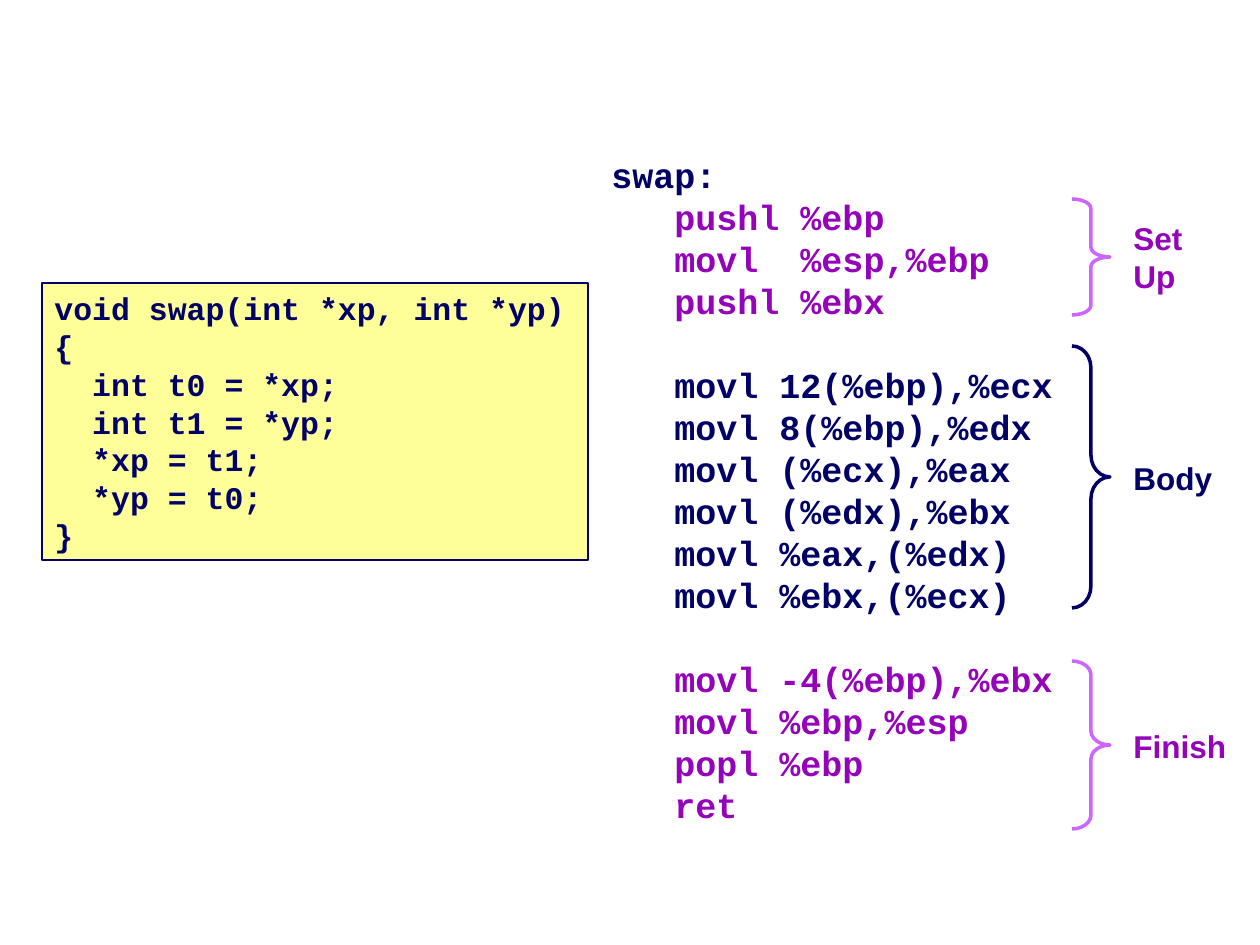
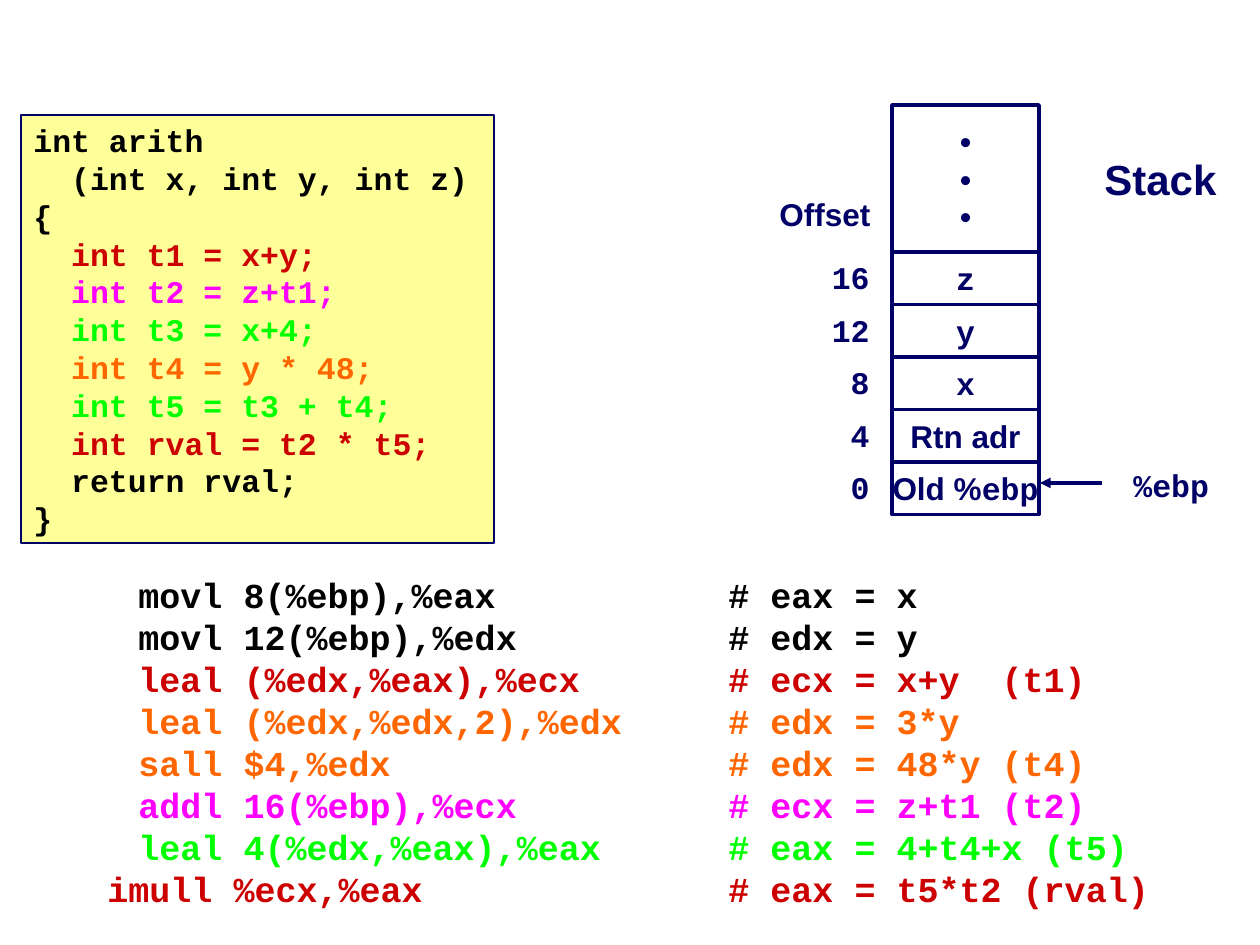
from lxml.etree import SubElement
from pptx import Presentation
from pptx.dml.color import RGBColor
from pptx.enum.shapes import MSO_CONNECTOR, MSO_SHAPE
from pptx.enum.text import MSO_ANCHOR, PP_ALIGN
from pptx.oxml.ns import qn
from pptx.util import Emu, Pt

PX_PER_INCH = 126
SANS, MONO = "Arial", "Courier New"
NAVY, BLACK, WHITE, YELLOW = "000066", "000000", "FFFFFF", "FFFF99"
PURPLE, LILAC = "9403B9", "CC66FF"
RED, MAGENTA, GREEN, ORANGE = "CC0000", "FF00FF", "00FF00", "FF6600"
LABEL_SIZE, ASSEMBLY_SIZE, HEADING_SIZE = 18, 20, 24
LINE_HEIGHT = 1.2


def px(length):
    return Emu(round(length * 914400 / PX_PER_INCH))


def color(value):
    return RGBColor.from_string(value)


def add_tab_stops(paragraph, stops):
    tab_list = SubElement(paragraph._p.get_or_add_pPr(), qn("a:tabLst"))
    for stop in stops:
        SubElement(tab_list, qn("a:tab"), pos=str(px(stop)), algn="l")


def write_line(paragraph, runs, size, align=PP_ALIGN.LEFT, gap=0):
    """Fill a paragraph with (text, color, font) runs."""
    paragraph.alignment = align
    paragraph.line_spacing = Pt(size * LINE_HEIGHT)
    if gap:
        paragraph.space_before = Pt(gap)
    for text, run_color, font_name in runs:
        run = paragraph.add_run()
        run.text = text
        run.font.name = font_name
        run.font.size = Pt(size)
        run.font.bold = True
        run.font.color.rgb = color(run_color)


def next_paragraph(frame, index):
    return frame.add_paragraph() if index else frame.paragraphs[0]


def add_text(slide, left, top, width, height, lines, text_color=NAVY,
             font_name=SANS, size=LABEL_SIZE, align=PP_ALIGN.LEFT):
    frame = slide.shapes.add_textbox(*map(px, (left, top, width, height))).text_frame
    frame.word_wrap = True
    for index, line in enumerate(lines):
        write_line(next_paragraph(frame, index), [(line, text_color, font_name)], size, align)


def add_rectangle(slide, left, top, width, height, fill, line_width):
    shape = slide.shapes.add_shape(MSO_SHAPE.RECTANGLE, *map(px, (left, top, width, height)))
    shape.shadow.inherit = False
    shape.fill.solid()
    shape.fill.fore_color.rgb = color(fill)
    shape.line.color.rgb = color(NAVY)
    shape.line.width = Pt(line_width)
    return shape


def add_source_code(slide, left, top, width, height, lines):
    """Yellow box of C code, one (text, color) pair a line."""
    frame = add_rectangle(slide, left, top, width, height, YELLOW, 1).text_frame
    frame.word_wrap = True
    frame.vertical_anchor = MSO_ANCHOR.TOP
    for index, (text, text_color) in enumerate(lines):
        write_line(next_paragraph(frame, index), [(text, text_color, MONO)], LABEL_SIZE)


def add_assembly(slide, left, top, width, height, lines, stops):
    """Assembly listing, one (text, color, gap before) triple a line."""
    frame = slide.shapes.add_textbox(*map(px, (left, top, width, height))).text_frame
    frame.word_wrap = True
    for index, (text, text_color, gap) in enumerate(lines):
        paragraph = next_paragraph(frame, index)
        add_tab_stops(paragraph, stops)
        write_line(paragraph, [(text, text_color, MONO)], ASSEMBLY_SIZE, gap=gap)


def add_brace(slide, left, top, width, height, line_color):
    brace = slide.shapes.add_shape(MSO_SHAPE.RIGHT_BRACE, *map(px, (left, top, width, height)))
    brace.shadow.inherit = False
    brace.adjustments[0] = height / 12 / width
    brace.fill.background()
    brace.line.color.rgb = color(line_color)
    brace.line.width = Pt(2)


def add_stack_cell(slide, top, height, lines):
    left, width = 892, 147
    frame = add_rectangle(slide, left, top, width, height, WHITE, 2).text_frame
    frame.word_wrap = False
    frame.vertical_anchor = MSO_ANCHOR.MIDDLE
    for index, runs in enumerate(lines):
        write_line(next_paragraph(frame, index), runs, LABEL_SIZE, PP_ALIGN.CENTER)


def add_arrow(slide, start_x, start_y, end_x, end_y):
    arrow = slide.shapes.add_connector(
        MSO_CONNECTOR.STRAIGHT, *map(px, (start_x, start_y, end_x, end_y)))
    arrow.line.color.rgb = color(NAVY)
    arrow.line.width = Pt(2)
    SubElement(arrow.line._get_or_add_ln(), qn("a:tailEnd"), type="triangle")
    SubElement(arrow._element.spPr, qn("a:effectLst"))


def build_swap_slide(slide):
    source = ["void swap(int *xp, int *yp)", "{", "  int t0 = *xp;",
              "  int t1 = *yp;", "  *xp = t1;", "  *yp = t0;", "}"]
    add_source_code(slide, 42, 283, 546, 277, [(line, NAVY) for line in source])

    # Assembly, in three sections with a line's gap between them
    sections = [
        (PURPLE, ["pushl %ebp", "movl  %esp,%ebp", "pushl %ebx"]),
        (NAVY, ["movl 12(%ebp),%ecx", "movl 8(%ebp),%edx", "movl (%ecx),%eax",
                "movl (%edx),%ebx", "movl %eax,(%edx)", "movl %ebx,(%ecx)"]),
        (PURPLE, ["movl -4(%ebp),%ebx", "movl %ebp,%esp", "popl %ebp", "ret"]),
    ]
    section_gap = ASSEMBLY_SIZE * LINE_HEIGHT
    lines = [("swap:", NAVY, 0)]
    for number, (section_color, instructions) in enumerate(sections):
        for index, instruction in enumerate(instructions):
            gap = section_gap if number and index == 0 else 0
            lines.append(("\t" + instruction, section_color, gap))
    add_assembly(slide, 599, 147, 504, 684, lines, [63])

    # Braces and section names
    braces = [
        (199, 116, LILAC, ["Set", "Up"], 213, PURPLE),
        (346, 262, NAVY, ["Body"], 453, NAVY),
        (661, 168, LILAC, ["Finish"], 721, PURPLE),
    ]
    for top, height, brace_color, name, name_top, name_color in braces:
        add_brace(slide, 1072, top, 38, height, brace_color)
        add_text(slide, 1121, name_top, 130, 13 + 38 * len(name), name, name_color)


def build_arith_slide(slide):
    add_source_code(slide, 21, 115, 473, 428, [
        ("int arith", BLACK),
        ("  (int x, int y, int z)", BLACK),
        ("{", BLACK),
        ("  int t1 = x+y;", RED),
        ("  int t2 = z+t1;", MAGENTA),
        ("  int t3 = x+4;", GREEN),
        ("  int t4 = y * 48;", ORANGE),
        ("  int t5 = t3 + t4;", GREEN),
        ("  int rval = t2 * t5;", RED),
        ("  return rval;", BLACK),
        ("}", BLACK),
    ])

    # Assembly with comments
    instructions = [
        ("\tmovl 8(%ebp),%eax", "# eax = x", BLACK),
        ("\tmovl 12(%ebp),%edx", "# edx = y", BLACK),
        ("\tleal (%edx,%eax),%ecx", "# ecx = x+y  (t1)", RED),
        ("\tleal (%edx,%edx,2),%edx", "# edx = 3*y", ORANGE),
        ("\tsall $4,%edx", "# edx = 48*y (t4)", ORANGE),
        ("\taddl 16(%ebp),%ecx", "# ecx = z+t1 (t2)", MAGENTA),
        ("\tleal 4(%edx,%eax),%eax", "# eax = 4+t4+x (t5)", GREEN),
        ("imull %ecx,%eax", "# eax = t5*t2 (rval)", RED),
    ]
    add_assembly(slide, 95, 567, 1102, 348, [
        (f"{instruction}\t{comment}", line_color, 0)
        for instruction, comment, line_color in instructions], [31, 621])

    # Stack cells with their offsets from %ebp
    rows = [
        [("z", NAVY, MONO)],
        [("y", NAVY, MONO)],
        [("x", NAVY, MONO)],
        [("Rtn adr", NAVY, SANS)],
        [("Old %", NAVY, SANS), ("ebp", NAVY, MONO)],
    ]
    stack_top, row_height = 252, 52.5
    add_stack_cell(slide, 105, 147, [[("•", NAVY, SANS)]] * 3)
    for index, runs in enumerate(rows):
        top = stack_top + index * row_height
        offset = 4 * (len(rows) - 1 - index)
        add_stack_cell(slide, top, row_height, [runs])
        add_text(slide, 802, top, 80, 50, [str(offset)], font_name=MONO, align=PP_ALIGN.RIGHT)

    # Headings and frame pointer
    add_text(slide, 767, 189, 125, 50, ["Offset"])
    add_text(slide, 1092, 147, 150, 63, ["Stack"], size=HEADING_SIZE)
    add_arrow(slide, 1102, 483, 1040, 483)
    add_text(slide, 1121, 460, 115, 50, ["%ebp"], font_name=MONO)


def main():
    presentation = Presentation()
    presentation.slide_width = px(1260)
    presentation.slide_height = px(945)
    blank_layout = presentation.slide_layouts[6]
    for build_slide in (build_swap_slide, build_arith_slide):
        build_slide(presentation.slides.add_slide(blank_layout))
    presentation.save("out.pptx")


if __name__ == "__main__":
    main()
